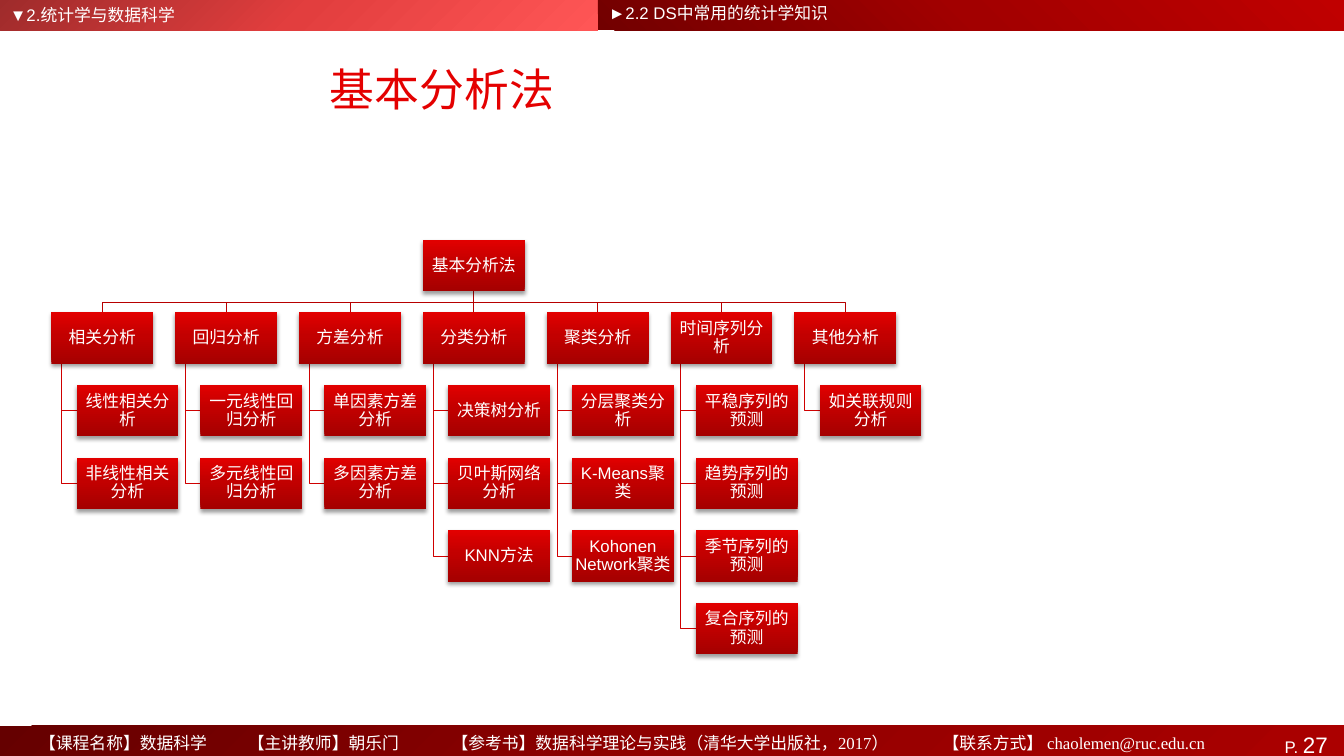
from lxml import etree
from pptx import Presentation, util as u
from pptx.dml.color import RGBColor
from pptx.enum import shapes, text
from pptx.oxml import parse_xml
from pptx.oxml.ns import nsdecls, qn

CJK = "Noto Sans CJK SC"
TOP, MID = text.MSO_ANCHOR.TOP, text.MSO_ANCHOR.MIDDLE
LEFT, MIDDLE, RIGHT = text.PP_ALIGN.LEFT, text.PP_ALIGN.CENTER, text.PP_ALIGN.RIGHT
NODE = [(0, "A50000"), (55, "C20000"), (100, "E20000")]
TREE = [
    ("相关分析", ["线性相关分析", "非线性相关分析"]),
    ("回归分析", ["一元线性回归分析", "多元线性回归分析"]),
    ("方差分析", ["单因素方差分析", "多因素方差分析"]),
    ("分类分析", ["决策树分析", "贝叶斯网络分析", "KNN方法"]),
    ("聚类分析", ["分层聚类分析", "K-Means聚类", "Kohonen Network聚类"]),
    ("时间序列分析", ["平稳序列的预测", "趋势序列的预测", "季节序列的预测", "复合序列的预测"]),
    ("其他分析", ["如关联规则分析"]),
]


def color(code):
    return RGBColor.from_string(code)


def place(box):
    return [u.Inches(v) for v in box]


def write(shape, runs, align=LEFT, anchor=TOP, inset=(0.1, 0.05), tint="FFFFFF"):
    """Fill a shape with one paragraph of (words, size, font) runs."""
    frame = shape.text_frame
    side, edge = u.Inches(inset[0]), u.Inches(inset[1])
    form = {"word_wrap": True, "vertical_anchor": anchor, "margin_left": side,
            "margin_right": side, "margin_top": edge, "margin_bottom": edge}
    for key, value in form.items():
        setattr(frame, key, value)
    para = frame.paragraphs[0]
    para.alignment = align
    for words, size, face in runs:
        run = para.add_run()
        run.text = words
        for key, value in {"size": u.Pt(size), "name": face, "bold": False}.items():
            setattr(run.font, key, value)
        run.font.color.rgb = color(tint)
        etree.SubElement(run.font._element, qn("a:ea"), typeface=CJK)
    return para


def label(slide, box, runs, **form):
    return write(slide.shapes.add_textbox(*place(box)), runs, **form)


def panel(slide, box, stops, angle):
    """Add a borderless rectangle with a gradient; angle runs clockwise."""
    rect = slide.shapes.add_shape(shapes.MSO_SHAPE.RECTANGLE, *place(box))
    rect.shadow.inherit = False
    rect.line.fill.background()
    rect.fill.gradient()
    rect.fill.gradient_angle = 360 - angle
    row = rect._element.spPr.find(".//" + qn("a:gsLst"))
    for old in list(row):
        row.remove(old)
    for spot, code in stops:
        stop = etree.SubElement(row, qn("a:gs"), pos=str(spot * 1000))
        etree.SubElement(stop, qn("a:srgbClr"), val=code)
    return rect


def header(slide, box):
    x, y, w, h = box
    split = 5.93
    panel(slide, (x, y, split, h), [(0, "9F2B2B"), (50, "E23E3E"), (100, "FF5656")], 45)
    panel(slide, (x + split, y, w - split, h),
          [(0, "720000"), (50, "A20000"), (100, "C00000")], 315)
    label(slide, (x, y, 4.83, h), [("▼2.统计学与数据科学", 12, "Arial")])
    label(slide, (x + split + 0.01, y, 3.72, h),
          [("►2.2 DS中常用的统计学知识", 12, "Arial")], inset=(0.1, 0.03))


def footer(slide, box):
    x, y, w, h = box
    bar = panel(slide, box, [(0, "650000"), (50, "900000"), (100, "AB0000")], 45)
    write(bar, [("P. ", 12, "Arial"), ("27 ", 16, "Arial")], align=RIGHT)
    parts = ["【课程名称】数据科学", "【主讲教师】朝乐门",
             "【参考书】数据科学理论与实践（清华大学出版社，2017）",
             "【联系方式】 chaolemen@ruc.edu.cn"]
    para = label(slide, (x + 0.29, y + 0.02, 12.26, h),
                 [("\t".join(parts), 12, "Times New Roman")])
    tabs = etree.SubElement(para._p.get_or_add_pPr(), qn("a:tabLst"))
    for stop in (2.07, 4.09, 8.96):
        etree.SubElement(tabs, qn("a:tab"), pos=str(u.Inches(stop)), algn="l")


def title(slide, box):
    head = slide.shapes.title
    head.left, head.top, head.width, head.height = place(box)
    write(head, [("基本分析法", 32, CJK)], align=MIDDLE, anchor=MID, tint="E40000")


def link(slide, points, code):
    first, *rest = [place(p) for p in points]
    pen = slide.shapes.build_freeform(*first)
    pen.add_line_segments(rest, close=False)
    path = pen.convert_to_shape()
    path.shadow.inherit = False
    path.fill.background()
    path.line.color.rgb = color(code)
    path.line.width = u.Pt(0.5)


def node(slide, box, words):
    rect = panel(slide, box, NODE, 270)
    glow = parse_xml(
        f'<a:outerShdw {nsdecls("a")} blurRad="{u.Pt(3.1)}" dist="{u.Pt(2)}" dir="5400000" '
        'rotWithShape="0"><a:srgbClr val="000000"><a:alpha val="38000"/></a:srgbClr>'
        '</a:outerShdw>')
    rect._element.spPr.find(qn("a:effectLst")).append(glow)
    para = write(rect, [(words, 12, "Arial")], align=MIDDLE, anchor=MID, inset=(0.01, 0.01))
    para.line_spacing = 0.9


def chart(slide, box):
    """Draw the tree: a root, a row of branches, and leaves hung below each."""
    x, y, w, _ = box
    wide, high, row, indent, spine = 1.01, 0.51, 0.72, 0.25, 0.1
    step = (w - wide - indent) / (len(TREE) - 1)
    root = x + (w - indent - wide) / 2
    hub, bus = root + wide / 2, y + (high + row) / 2
    nodes = [(root, y, "基本分析法")]
    for col, (name, leaves) in enumerate(TREE):
        left, top = x + col * step, y + row
        mid = left + wide / 2
        bend = [] if abs(mid - hub) < 0.01 else [(hub, bus), (mid, bus)]
        link(slide, [(hub, y + high), *bend, (mid, top)], "B70000")
        nodes.append((left, top, name))
        for rank, leaf in enumerate(leaves, 1):
            down = top + rank * row
            level = down + high / 2
            link(slide, [(left + spine, top + high), (left + spine, level),
                         (left + indent, level)], "CF0000")
            nodes.append((left + indent, down, leaf))
    for left, top, words in nodes:
        node(slide, (left, top, wide, high), words)


def main():
    deck = Presentation()
    deck.slide_width, deck.slide_height = u.Inches(13.33), u.Inches(7.5)
    slide = deck.slides.add_slide(deck.slide_layouts[5])
    header(slide, (0, 0, 13.33, 0.3))
    footer(slide, (0, 7.2, 13.33, 0.37))
    title(slide, (0.44, 0.43, 7.89, 0.9))
    chart(slide, (0.51, 2.38, 8.63, 4.11))
    deck.save("out.pptx")


if __name__ == "__main__":
    main()
